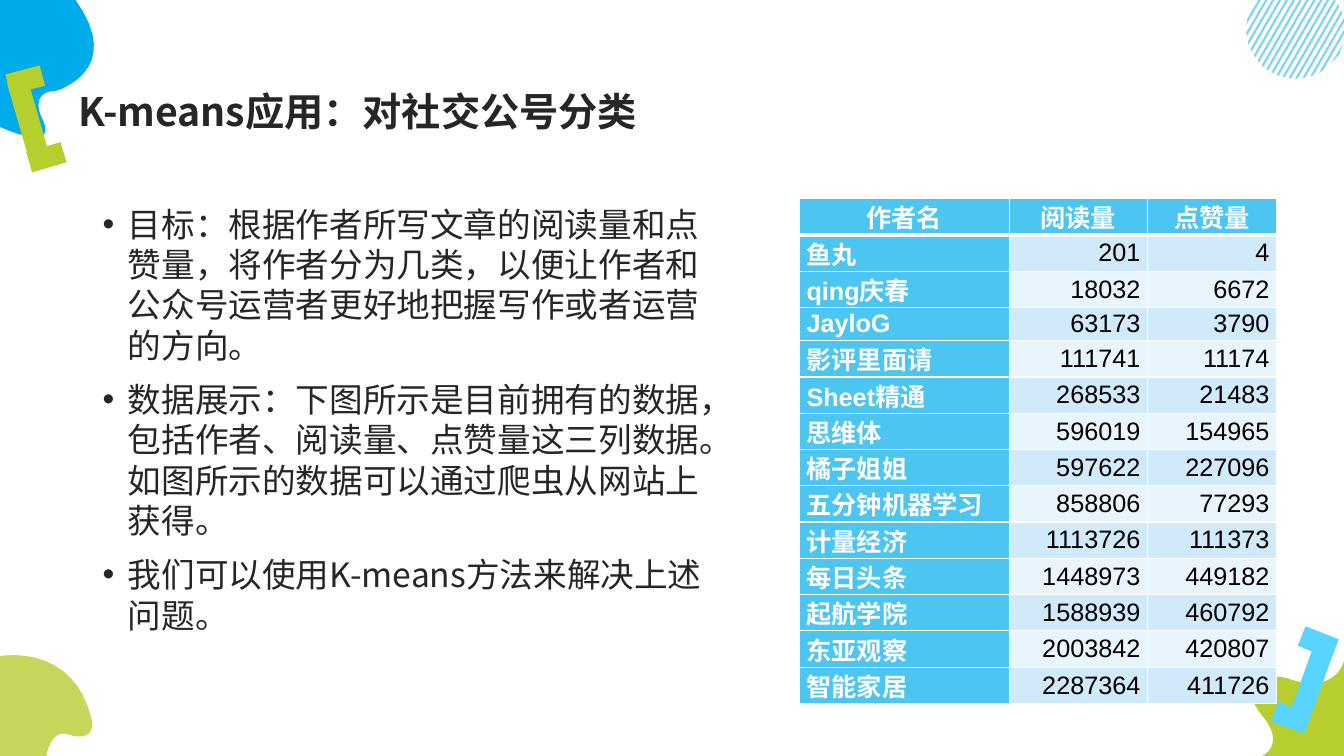
import math
from lxml import etree
from pptx import Presentation
from pptx.dml.color import RGBColor
from pptx.enum.shapes import MSO_CONNECTOR
from pptx.enum.text import MSO_ANCHOR, PP_ALIGN
from pptx.oxml import parse_xml
from pptx.oxml.ns import nsdecls, qn
from pptx.util import Pt

STRAIGHT = MSO_CONNECTOR.STRAIGHT
LEFT, CENTER, RIGHT = PP_ALIGN.LEFT, PP_ALIGN.CENTER, PP_ALIGN.RIGHT
TOP, MIDDLE, BOTTOM = MSO_ANCHOR.TOP, MSO_ANCHOR.MIDDLE, MSO_ANCHOR.BOTTOM

SCALE = 9144
WIDTH, HEIGHT = 1333, 750
SANS, ARIAL = "Noto Sans CJK SC", "Arial"
COLORS = {
    "blue": "00ABE9", "green": "B7CE2F", "lime": "C6D65B", "sky": "59D3FF",
    "ink": "262626", "black": "000000", "white": "FFFFFF",
    "head": "4CC5F0", "band_dark": "D0EAF9", "band_light": "E9F5FC",
}

TITLE = "K-means应用：对社交公号分类"
BULLETS = [
    "目标：根据作者所写文章的阅读量和点赞量，将作者分为几类，以便让作者和公众号运营者更好地把握写作或者运营的方向。",
    "数据展示：下图所示是目前拥有的数据，包括作者、阅读量、点赞量这三列数据。如图所示的数据可以通过爬虫从网站上获得。",
    "我们可以使用K-means方法来解决上述问题。",
]
ROWS = [
    ("作者名", "阅读量", "点赞量"),
    ("鱼丸", 201, 4),
    ("qing庆春", 18032, 6672),
    ("JayloG", 63173, 3790),
    ("影评里面请", 111741, 11174),
    ("Sheet精通", 268533, 21483),
    ("思维体", 596019, 154965),
    ("橘子姐姐", 597622, 227096),
    ("五分钟机器学习", 858806, 77293),
    ("计量经济", 1113726, 111373),
    ("每日头条", 1448973, 449182),
    ("起航学院", 1588939, 460792),
    ("东亚观察", 2003842, 420807),
    ("智能家居", 2287364, 411726),
]
COL_WIDTHS = [208, 137, 128]
ROW_HEIGHT, LATIN_ROW_HEIGHT = 36, 33

BLOBS = [
    ("blue", [(0, 126), (0, 126, 57, 152, 43, 120), (43, 120, 26, 91, 56, 90),
              (56, 90, 125, 70, 75, 0), (0, 0)]),
    ("green", [(1252, 750), (1252, 750, 1276, 739, 1252, 710),
               (1227, 682, 1256, 666, 1277, 673),
               (1298, 681, 1325, 681, 1333, 656), (1333, 750)]),
    ("lime", [(0, 651), (0, 651, 73, 637, 91, 714), (91, 714, 96, 735, 72, 730),
              (65, 728), (65, 728, 51, 724, 46, 750), (0, 750)]),
]
BRACKETS = [
    ("green", [(8, 84, 42, 75), (17, 80, 41, 163), (29, 161, 63, 151)]),
    ("sky", [(1297, 718, 1264, 706), (1287, 716, 1316, 635), (1324, 644, 1291, 631)]),
]
DISC = {"cx": 1285, "cy": 29, "r": 49}
STRIPES = {"count": 17, "first": 1248, "step": 6.8, "width": 2.5}
CURVE_STEPS = 16


def px(n):
    return round(n * SCALE)


def rgb(name):
    return RGBColor.from_string(COLORS[name])


def outline(points):
    path = [points[0]]
    for point in points[1:]:
        if len(point) == 2:
            path.append(point)
            continue
        x0, y0 = path[-1]
        x1, y1, x2, y2, x3, y3 = point
        for i in range(1, CURVE_STEPS + 1):
            t = i / CURVE_STEPS
            a, b, c, d = (1 - t) ** 3, 3 * t * (1 - t) ** 2, 3 * t * t * (1 - t), t ** 3
            path.append((a * x0 + b * x1 + c * x2 + d * x3,
                         a * y0 + b * y1 + c * y2 + d * y3))
    return path


def add_outline(s, path, color, alpha=None):
    points = [(px(x), px(y)) for x, y in path]
    builder = s.shapes.build_freeform(*points[0])
    builder.add_line_segments(points[1:], close=True)
    sp = builder.convert_to_shape()
    sp.shadow.inherit = False
    sp.fill.solid()
    sp.fill.fore_color.rgb = rgb(color)
    sp.line.fill.background()
    if alpha:
        clr = sp._element.spPr.find(qn("a:solidFill"))[0]
        etree.SubElement(clr, qn("a:alpha")).set("val", str(alpha * 1000))


def chord(x):
    ux, uy = -0.5, math.sqrt(3) / 2
    dx, dy = DISC["cx"] - x, DISC["cy"]
    middle = dx * ux + dy * uy
    half = math.sqrt(max(0, DISC["r"] ** 2 - dx * dx - dy * dy + middle ** 2))
    return [(x + t * ux, t * uy) for t in (max(0, middle - half), middle + half)]


def add_bracket(s, color, strokes):
    for x1, y1, x2, y2 in strokes:
        line = s.shapes.add_connector(STRAIGHT, px(x1), px(y1), px(x2), px(y2))
        line.line.color.rgb = rgb(color)
        line.line.width = Pt(15)
        etree.SubElement(line._element.spPr, qn("a:effectLst"))


def write(p, text, color, face, **font):
    r = p.add_run()
    r.text = str(text)
    r.font.color.rgb = rgb(color)
    for key, value in {"name": face, **font}.items():
        setattr(r.font, key, value)
    etree.SubElement(r._r.get_or_add_rPr(), qn("a:ea")).set("typeface", SANS)


def add_text(s, box, anchor):
    tf = s.shapes.add_textbox(*map(px, box)).text_frame
    margins = {"margin_left": px(10), "margin_right": px(10),
               "margin_top": px(5), "margin_bottom": px(5)}
    for key, value in {"word_wrap": True, "vertical_anchor": anchor, **margins}.items():
        setattr(tf, key, value)
    return tf


def add_bullets(tf):
    for i, text in enumerate(BULLETS):
        p = tf.add_paragraph() if i else tf.paragraphs[0]
        p.line_spacing = 1.0
        p.space_before = Pt(10 if i else 0)
        pPr = p._p.get_or_add_pPr()
        pPr.set("marL", str(px(25)))
        pPr.set("indent", str(px(-25)))
        etree.SubElement(pPr, qn("a:buFont")).set("typeface", ARIAL)
        etree.SubElement(pPr, qn("a:buChar")).set("char", "•")
        write(p, text, "ink", SANS, size=Pt(24))


def set_borders(cell, widths):
    tcPr = cell._tc.get_or_add_tcPr()
    for side, width in widths.items():
        tcPr.append(parse_xml(
            f'<a:ln{side} {nsdecls("a")} w="{Pt(width)}"><a:solidFill>'
            f'<a:srgbClr val="{COLORS["white"]}"/></a:solidFill></a:ln{side}>'))


def add_author_table(s):
    heights = [LATIN_ROW_HEIGHT if row[0].isascii() else ROW_HEIGHT for row in ROWS]
    table = s.shapes.add_table(len(ROWS), len(COL_WIDTHS), px(793), px(197),
                               px(sum(COL_WIDTHS)), px(sum(heights))).table
    for column, width in zip(table.columns, COL_WIDTHS):
        column.width = px(width)
    cell_format = {"margin_left": px(7), "margin_right": px(7), "margin_top": 0,
                   "margin_bottom": 0, "vertical_anchor": MIDDLE}
    for i, row in enumerate(ROWS):
        table.rows[i].height = px(heights[i])
        for j, value in enumerate(row):
            cell = table.cell(i, j)
            for key, setting in cell_format.items():
                setattr(cell, key, setting)
            set_borders(cell, {"L": 1, "R": 1, "T": 3 if i == 1 else 1, "B": 1 if i else 3})
            label = i == 0 or j == 0
            band = "band_dark" if i % 2 else "band_light"
            cell.fill.solid()
            cell.fill.fore_color.rgb = rgb("head" if label else band)
            p = cell.text_frame.paragraphs[0]
            p.alignment = CENTER if i == 0 else RIGHT if j else LEFT
            write(p, value, "white" if label else "black", ARIAL, size=Pt(18), bold=label)


def main():
    prs = Presentation()
    prs.slide_width, prs.slide_height = px(WIDTH), px(HEIGHT)
    s = prs.slides.add_slide(prs.slide_layouts[6])
    for color, points in BLOBS:
        add_outline(s, outline(points), color)
    for k in range(STRIPES["count"]):
        x = STRIPES["first"] + k * STRIPES["step"]
        add_outline(s, chord(x) + chord(x + STRIPES["width"])[::-1], "blue", alpha=50)
    for color, strokes in BRACKETS:
        add_bracket(s, color, strokes)
    p = add_text(s, (68, 44, 1197, 94), BOTTOM).paragraphs[0]
    p.line_spacing = 1.2
    write(p, TITLE, "ink", SANS, size=Pt(28), bold=True)
    add_bullets(add_text(s, (92, 197, 618, 476), TOP))
    add_author_table(s)
    prs.save("out.pptx")


if __name__ == "__main__":
    main()
